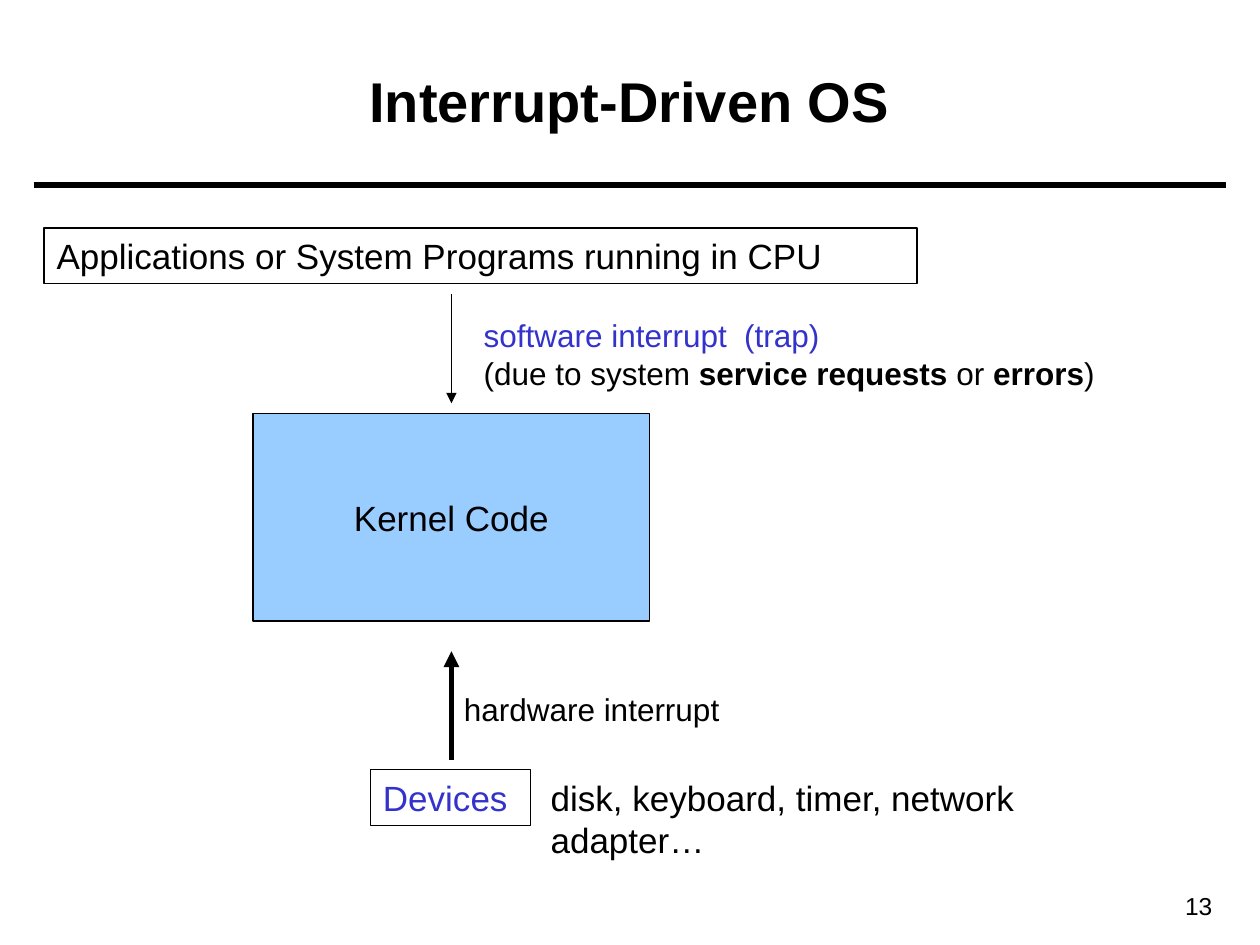
from pptx import Presentation
from pptx.util import Cm, Pt
from pptx.dml.color import RGBColor as Rgb
from pptx.enum.shapes import MSO_CONNECTOR as Conn, MSO_SHAPE as Form
from pptx.enum.text import MSO_ANCHOR as Anchor, PP_ALIGN as Align
from pptx.oxml.ns import qn
from lxml.etree import SubElement as add_node

BLACK, BLUE, SKY = "000000", "3333CC", "99CCFF"


def paint(code):
    return Rgb.from_string(code)


def write(frame, *lines, size=20, color=BLACK, bold=False, align=Align.LEFT,
          anchor=Anchor.TOP, wrap=False, font="Arial"):
    frame.word_wrap = wrap
    frame.vertical_anchor = anchor
    frame.margin_left = frame.margin_right = Cm(0.25)
    frame.margin_top = frame.margin_bottom = Cm(0.13)
    for i, line in enumerate(lines):
        para = frame.add_paragraph() if i else frame.paragraphs[0]
        para.alignment = align
        for part in [line] if isinstance(line, str) else line:
            text, look = (part, {}) if isinstance(part, str) else part
            run = para.add_run()
            run.text = text
            run.font.name = font
            run.font.size = Pt(size)
            run.font.bold = look.get("bold", bold)
            run.font.color.rgb = paint(look.get("color", color))


class Deck:
    def __init__(self, width, height, thin=0.75, thick=3):
        self.file = Presentation()
        self.file.slide_width, self.file.slide_height = Cm(width), Cm(height)
        self.thin, self.thick = thin, thick
        self.slide = self.file.slides.add_slide(self.file.slide_layouts[5])
        self.shapes = self.slide.shapes

    def title(self, box, text):
        head = self.shapes.title
        head.left, head.top, head.width, head.height = map(Cm, box)
        write(head.text_frame, text, size=32, bold=True, wrap=True,
              align=Align.CENTER, anchor=Anchor.MIDDLE)

    def label(self, box, *lines, **look):
        area = self.shapes.add_textbox(*map(Cm, box))
        write(area.text_frame, *lines, **look)

    def block(self, box, text, fill=None, **look):
        rect = self.shapes.add_shape(Form.RECTANGLE, *map(Cm, box))
        rect.shadow.inherit = False
        if fill:
            rect.fill.solid()
            rect.fill.fore_color.rgb = paint(fill)
        else:
            rect.fill.background()
        rect.line.color.rgb = paint(BLACK)
        rect.line.width = Pt(self.thin)
        write(rect.text_frame, text, **look)

    def line(self, start, end, width, arrow=False):
        link = self.shapes.add_connector(Conn.STRAIGHT, *map(Cm, start + end))
        link.line.color.rgb = paint(BLACK)
        link.line.width = Pt(width)
        if arrow:
            add_node(link.line._get_or_add_ln(), qn("a:tailEnd"), type="triangle")
        add_node(link._element.spPr, qn("a:effectLst"))


def main():
    deck = Deck(25.4, 19.05)
    mid = 9.1
    deck.line((0.69, 3.73), (24.71, 3.73), deck.thick)
    deck.label((22.05, 17.83, 2.64, 0.86), "13", size=14, align=Align.RIGHT, wrap=True)
    deck.title((0.89, 0.43, 23.6, 3.18), "Interrupt-Driven OS")

    deck.block((mid - 4, 8.33, 8, 4.19), "Kernel Code", fill=SKY,
               align=Align.CENTER, anchor=Anchor.MIDDLE)
    deck.block((7.47, 15.52, 3.23, 1.12), "Devices", color=BLUE)
    deck.block((0.89, 4.6, 17.6, 1.12),
               "Applications or System Programs running in CPU", wrap=True)

    deck.line((mid, 15.32), (mid, 13.13), deck.thick, arrow=True)
    deck.label((mid, 13.79, 5.66, 1.02), "hardware interrupt", size=18)
    strong = {"bold": True}
    deck.label((9.5, 6.25, 12.95, 1.8),
               [("software interrupt  (trap)", {"color": BLUE})],
               ["(due to system ", ("service requests", strong), " or ",
                ("errors", strong), ")"], size=18)
    deck.label((10.85, 15.52, 12.5, 1.1),
               "disk, keyboard, timer, network adapter…", wrap=True)
    deck.line((mid, 5.92), (mid, 8.13), deck.thin, arrow=True)
    deck.file.save("out.pptx")


if __name__ == "__main__":
    main()
